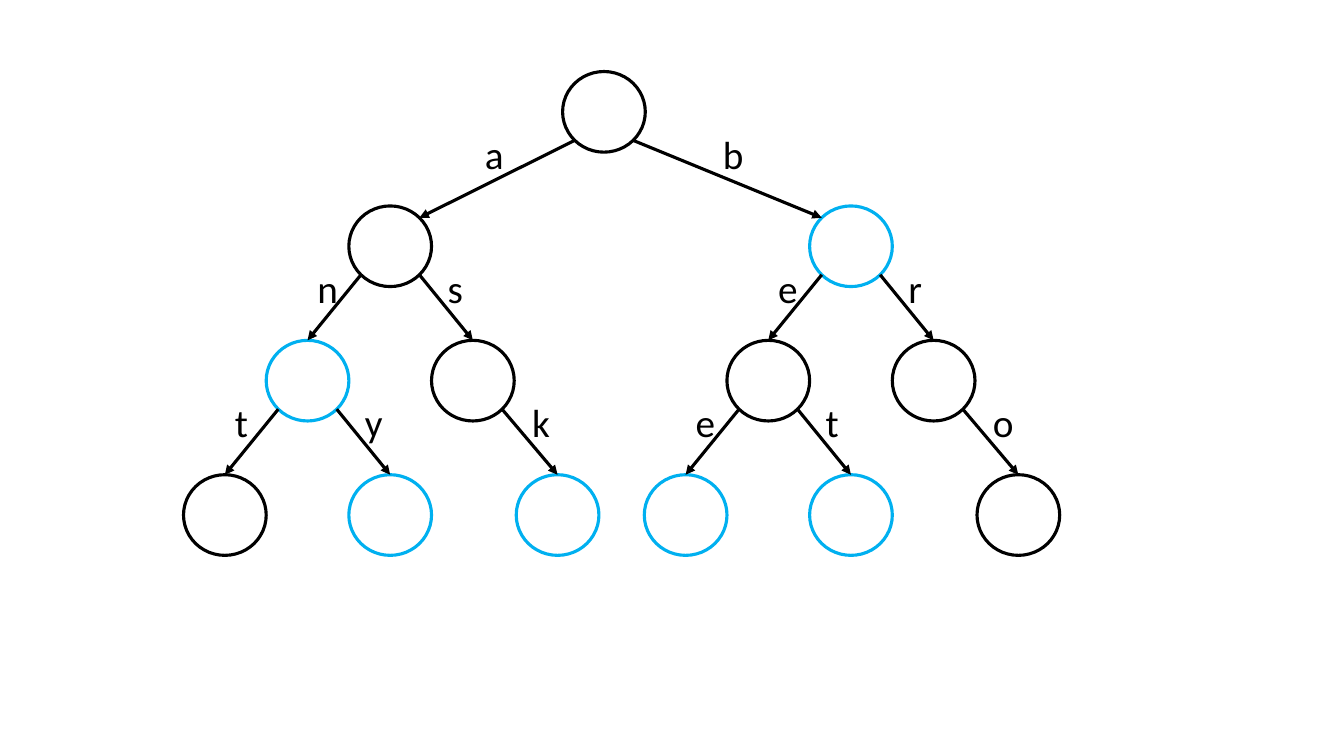
"""Build a slide with a trie whose blue nodes end a word."""
from math import pi, cos, sin

from lxml.etree import SubElement
from pptx import Presentation
from pptx.dml.color import RGBColor
from pptx.enum.shapes import MSO_CONNECTOR, MSO_SHAPE
from pptx.enum.text import MSO_AUTO_SIZE
from pptx.oxml.ns import qn
from pptx.util import Inches, Pt

BLACK = RGBColor(0x00, 0x00, 0x00)
BLUE = RGBColor(0x00, 0xB0, 0xF0)

NODE_WIDTH, NODE_HEIGHT = 0.82, 0.8
TOP, LEVEL_STEP = 0.71, 4 / 3
LABEL_WIDTH, LABEL_HEIGHT, LABEL_DROP = 0.35, 0.57, 0.53
LABEL_FORMAT = {"name": "Calibri", "size": Pt(28)}

NODE_LEFTS = {
    "": 5.58,
    "a": 3.46, "b": 8.03,
    "an": 2.64, "as": 4.28, "be": 7.21, "br": 8.85,
    "ant": 1.82, "any": 3.46, "ask": 5.12,
    "bee": 6.39, "bet": 8.03, "bro": 9.69,
}
WORDS = {"b", "an", "any", "ask", "bee", "bet"}

TOP_SITE, TOP_LEFT, BOTTOM_LEFT, BOTTOM_RIGHT, TOP_RIGHT = 0, 1, 3, 5, 7


def site_point(prefix, site):
    """Return a connection site, counted anticlockwise from the top."""
    angle = site * pi / 4
    x = NODE_LEFTS[prefix] + NODE_WIDTH / 2 * (1 - sin(angle))
    y = TOP + len(prefix) * LEVEL_STEP + NODE_HEIGHT / 2 * (1 - cos(angle))
    return Inches(x), Inches(y)


prs = Presentation()
prs.slide_width, prs.slide_height = Inches(13.33), Inches(7.5)
slide = prs.slides.add_slide(prs.slide_layouts[6])

nodes = {}
for prefix, left in NODE_LEFTS.items():
    node = slide.shapes.add_shape(
        MSO_SHAPE.OVAL, Inches(left), Inches(TOP + len(prefix) * LEVEL_STEP),
        Inches(NODE_WIDTH), Inches(NODE_HEIGHT))
    node.shadow.inherit = False
    node.fill.background()
    node.line.color.rgb = BLUE if prefix in WORDS else BLACK
    node.line.width = Pt(2.25)
    nodes[prefix] = node

for prefix, left in NODE_LEFTS.items():
    if not prefix:
        continue
    parent, letter = prefix[:-1], prefix[-1]
    goes_left = left < NODE_LEFTS[parent]
    start_site = BOTTOM_LEFT if goes_left else BOTTOM_RIGHT
    if parent:
        end_site = TOP_SITE
        label_shift = 0.41 if goes_left else 0.06
    else:
        end_site = TOP_RIGHT if goes_left else TOP_LEFT
        label_shift = 1.25 if goes_left else -0.96

    edge = slide.shapes.add_connector(
        MSO_CONNECTOR.STRAIGHT,
        *site_point(parent, start_site), *site_point(prefix, end_site))
    edge.line.color.rgb = BLACK
    edge.line.width = Pt(2.25)
    SubElement(edge.line._get_or_add_ln(), qn("a:tailEnd"), type="triangle")
    SubElement(edge._element.spPr, qn("a:effectLst"))
    joints = edge._element.nvCxnSpPr.cNvCxnSpPr
    for tag, joined, site in (("a:stCxn", parent, start_site),
                              ("a:endCxn", prefix, end_site)):
        SubElement(joints, qn(tag), id=str(nodes[joined].shape_id), idx=str(site))

    label = slide.shapes.add_textbox(
        Inches(left + label_shift),
        Inches(TOP + len(parent) * LEVEL_STEP + LABEL_DROP),
        Inches(LABEL_WIDTH), Inches(LABEL_HEIGHT))
    label.text_frame.word_wrap = True
    label.text_frame.auto_size = MSO_AUTO_SIZE.SHAPE_TO_FIT_TEXT
    run = label.text_frame.paragraphs[0].add_run()
    run.text = letter
    run.font.color.rgb = BLACK
    for attribute, value in LABEL_FORMAT.items():
        setattr(run.font, attribute, value)

prs.save("out.pptx")
